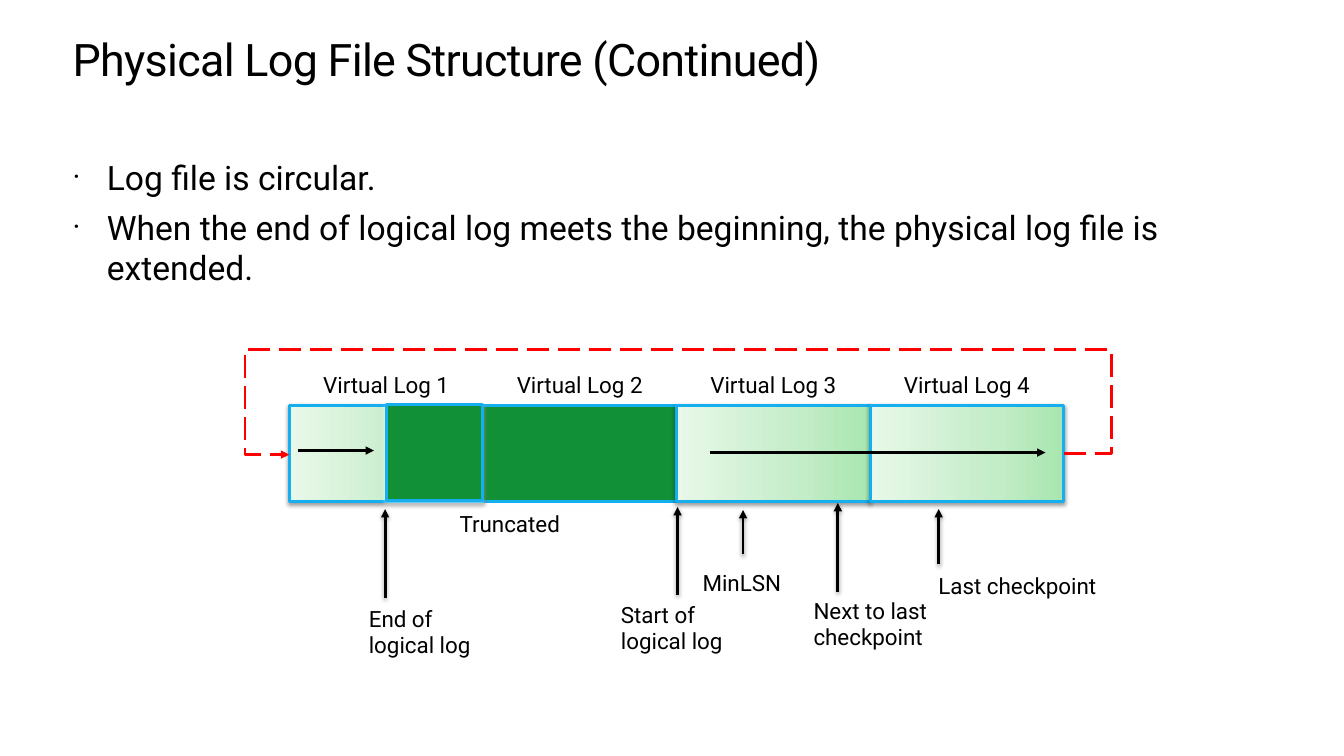
from lxml.etree import SubElement
from pptx import Presentation
from pptx.dml.color import RGBColor
from pptx.enum.dml import MSO_LINE
from pptx.enum.shapes import MSO_CONNECTOR, MSO_SHAPE
from pptx.enum.text import MSO_ANCHOR, MSO_AUTO_SIZE, PP_ALIGN
from pptx.oxml.ns import qn
from pptx.util import Inches, Pt

FONT = "Roboto"
BLACK, RED, GREEN, BLUE = "000000", "FF0000", "129038", "15AEEF"
PALE_STOPS = [(0, "A8E6AF"), (35, "C3ECC8"), (100, "E8F8E9")]
LOG_X, LOG_Y, LOG_W, LOG_H = 2.87, 4.02, 1.92, 0.96


def rgb(value):
    return RGBColor.from_string(value)


def add_node(parent, tag, **attrs):
    return SubElement(parent, qn(tag), {k: str(v) for k, v in attrs.items()})


def add_run(p, text, size):
    r = p.add_run()
    r.text = text
    r.font.name = FONT
    r.font.size = Pt(size)
    r.font.color.rgb = rgb(BLACK)
    return r


def clear_margins(tf):
    tf.margin_left = tf.margin_top = tf.margin_right = tf.margin_bottom = 0


def add_title(s, text):
    title = s.shapes.title
    title.left, title.top = Inches(0.72), Inches(0.35)
    title.width, title.height = Inches(11.9), Inches(0.5)
    tf = title.text_frame
    clear_margins(tf)
    tf.auto_size = MSO_AUTO_SIZE.NONE
    tf.vertical_anchor = MSO_ANCHOR.TOP
    p = tf.paragraphs[0]
    p.alignment = PP_ALIGN.LEFT
    p.line_spacing = Pt(36.2)
    r = add_run(p, text, 32)
    r.font._element.set("spc", "-50")


def add_bullets(s, items):
    box = s.shapes.add_textbox(Inches(0.72), Inches(1.56), Inches(11.9), Inches(5.25))
    tf = box.text_frame
    tf.word_wrap = True
    clear_margins(tf)
    for i, item in enumerate(items):
        p = tf.add_paragraph() if i else tf.paragraphs[0]
        pPr = p._p.get_or_add_pPr()
        pPr.set("marL", str(Inches(0.34)))
        pPr.set("indent", str(Inches(-0.34)))
        if i:
            p.space_before = Pt(6.7)
        add_node(add_node(pPr, "a:buClr"), "a:srgbClr", val=BLACK)
        add_node(pPr, "a:buSzPct", val=90000)
        add_node(pPr, "a:buFont", typeface=FONT)
        add_node(pPr, "a:buChar", char="·")
        add_run(p, item, 24)


def add_label(s, text, x, y, w, h=0.37, align=PP_ALIGN.LEFT):
    tf = s.shapes.add_textbox(Inches(x), Inches(y), Inches(w), Inches(h)).text_frame
    tf.word_wrap = True
    p = tf.paragraphs[0]
    p.alignment = align
    add_run(p, text, 16)


def add_shadow(effects, color):
    shadow = add_node(effects, "a:outerShdw", blurRad=Pt(3.1), dist=Pt(1.6),
                      dir=5400000, rotWithShape=0)
    add_node(add_node(shadow, "a:srgbClr", val=color), "a:alpha", val=38000)


def add_block(s, x, y, w, truncated):
    sp = s.shapes.add_shape(MSO_SHAPE.RECTANGLE, Inches(x), Inches(y), Inches(w), Inches(LOG_H))
    spPr = sp._element.spPr
    if truncated:
        sp.fill.solid()
        sp.fill.fore_color.rgb = rgb(GREEN)
    else:
        sp.fill.gradient()
        sp.fill.gradient_angle = 180
        stops = spPr.find(".//" + qn("a:gsLst"))
        stops.clear()
        for pos, color in PALE_STOPS:
            add_node(add_node(stops, "a:gs", pos=pos * 1000), "a:srgbClr", val=color)
    sp.line.color.rgb = rgb(BLUE)
    sp.line.width = Pt(2)
    sp.shadow.inherit = False
    add_shadow(spPr.find(qn("a:effectLst")), "FFFFFF" if truncated else BLACK)


def style_arrow(line, color):
    line.color.rgb = rgb(color)
    line.width = Pt(2)
    add_node(line._get_or_add_ln(), "a:tailEnd", type="triangle")


def add_arrow(s, x1, y1, x2, y2, shadow=False):
    arrow = s.shapes.add_connector(MSO_CONNECTOR.STRAIGHT, Inches(x1), Inches(y1),
                                   Inches(x2), Inches(y2))
    style_arrow(arrow.line, BLACK)
    effects = add_node(arrow._element.spPr, "a:effectLst")
    if shadow:
        add_shadow(effects, BLACK)


def add_wrap_route(s, points):
    points = [(Inches(x), Inches(y)) for x, y in points]
    builder = s.shapes.build_freeform(*points[0])
    builder.add_line_segments(points[1:], close=False)
    route = builder.convert_to_shape()
    route.fill.background()
    route.shadow.inherit = False
    route.line.dash_style = MSO_LINE.LONG_DASH
    style_arrow(route.line, RED)


def main():
    prs = Presentation()
    prs.slide_width, prs.slide_height = Inches(13.33), Inches(7.5)
    s = prs.slides.add_slide(prs.slide_layouts[5])

    add_title(s, "Physical Log File Structure (Continued)")
    add_bullets(s, [
        "Log file is circular.",
        "When the end of logical log meets the beginning, the physical log file is extended.",
    ])

    for i in (1, 2, 3, 0):
        x = LOG_X + i * LOG_W
        add_block(s, x, LOG_Y, LOG_W, truncated=i == 1)
        add_label(s, f"Virtual Log {i + 1}", x, 3.63, LOG_W, align=PP_ALIGN.CENTER)
    add_block(s, LOG_X + LOG_W / 2, 4.01, LOG_W / 2, truncated=True)

    add_wrap_route(s, [(10.55, 4.5), (11.02, 4.5), (11.02, 3.47),
                       (2.43, 3.47), (2.43, 4.51), (2.87, 4.51)])

    for x, bottom, top in [(3.82, 5.93, 5.05), (6.72, 5.9, 5.03), (7.37, 5.5, 5.06),
                           (8.31, 5.87, 4.99), (9.31, 5.6, 5.05)]:
        add_arrow(s, x, bottom, x, top, shadow=True)

    add_label(s, "Truncated", 4.46, 5.01, 1.25)
    add_label(s, "End of logical log", 3.56, 5.95, 1.24, 0.64)
    add_label(s, "Start of logical log", 6.06, 5.91, 1.24, 0.64)
    add_label(s, "MinLSN", 6.87, 5.6, 1)
    add_label(s, "Next to last checkpoint", 7.97, 5.87, 1.49, 0.64)
    add_label(s, "Last checkpoint", 9.21, 5.63, 1.83)

    add_arrow(s, 7.04, 4.49, 10.37, 4.49)
    add_arrow(s, 2.96, 4.47, 3.71, 4.47)
    prs.save("out.pptx")


if __name__ == "__main__":
    main()
